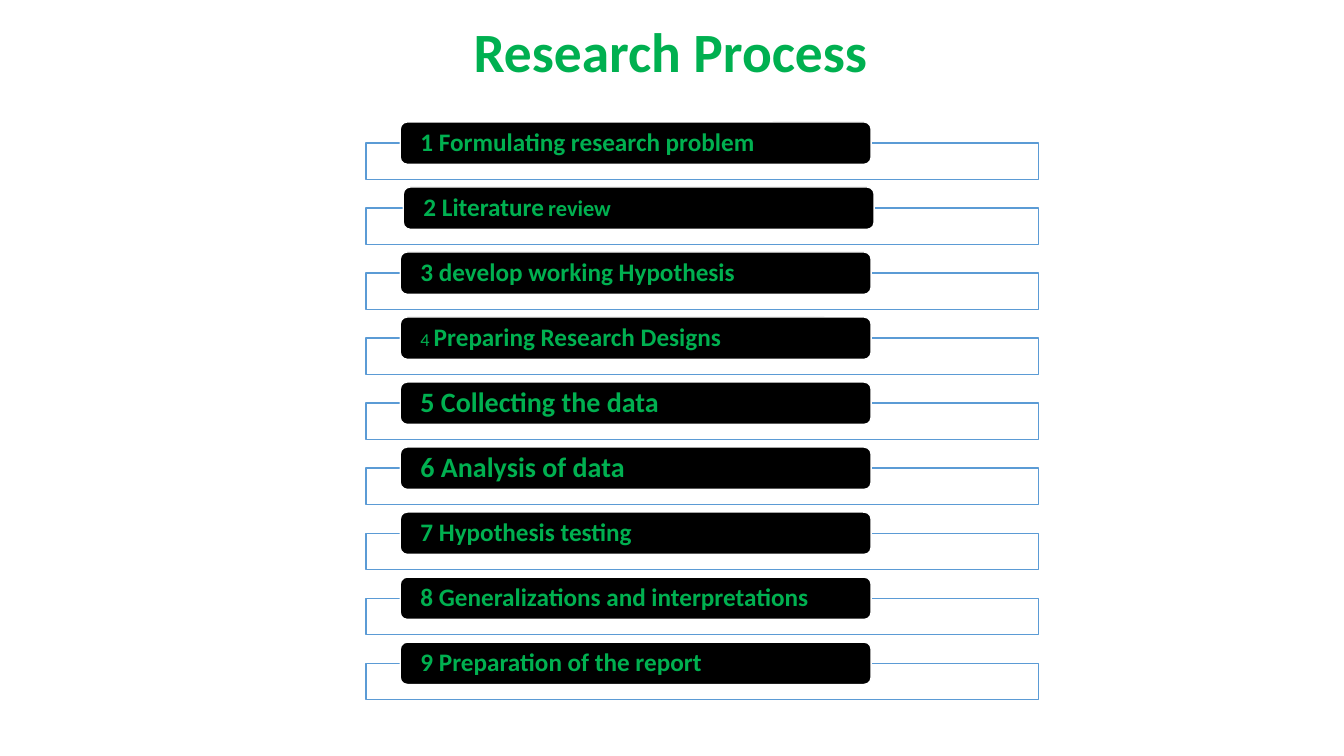
import pptx
import pptx.dml.color
import pptx.enum.shapes
import pptx.enum.text
import pptx.util

Inches = pptx.util.Inches
Pt = pptx.util.Pt
RGBColor = pptx.dml.color.RGBColor
MSO_SHAPE = pptx.enum.shapes.MSO_SHAPE
PP_ALIGN = pptx.enum.text.PP_ALIGN

GREEN = RGBColor(0x00, 0xB0, 0x50)
BLACK = RGBColor(0x00, 0x00, 0x00)
WHITE = RGBColor(0xFF, 0xFF, 0xFF)
BLUE = RGBColor(0x5B, 0x9B, 0xD5)

FIRST_FRAME_TOP = 1.42
LAST_FRAME_TOP = 6.58
LABEL_RISE = 0.21
LABEL_LEFT = 3.97

# Each step is a list of (text, size, bold) runs.
STEPS = [
    [("1 Formulating research problem", 18, True)],
    [("2 Literature", 18, True), (" ", 13, False), ("review", 16, True)],
    [("3 develop working Hypothesis", 18, True)],
    [("4 ", 13, False), ("Preparing Research Designs", 18, True)],
    [("5 Collecting the data", 20, True)],
    [("6 Analysis of data", 20, True)],
    [("7 Hypothesis testing", 18, True)],
    [("8 Generalizations and interpretations", 18, True)],
    [("9 Preparation of the report", 18, True)],
]
LABEL_SHIFTS = {1: 0.03}


def write_line(text_frame, runs, alignment, side_margin):
    frame_format = {
        "word_wrap": True,
        "vertical_anchor": pptx.enum.text.MSO_ANCHOR.MIDDLE,
        "margin_left": Inches(side_margin),
        "margin_right": Inches(side_margin),
        "margin_top": 0,
        "margin_bottom": 0,
    }
    for name, value in frame_format.items():
        setattr(text_frame, name, value)
    line = text_frame.paragraphs[0]
    line.alignment = alignment
    line.line_spacing = 0.9
    for text, size, bold in runs:
        run = line.add_run()
        run.text = text
        run.font.color.rgb = GREEN
        font_format = {"name": "Calibri", "size": Pt(size), "bold": bold}
        for name, value in font_format.items():
            setattr(run.font, name, value)


def add_title(slide, text):
    title = slide.shapes.add_textbox(
        Inches(2.15), Inches(0.24), Inches(9), Inches(0.6))
    write_line(title.text_frame, [(text, 39.6, True)], PP_ALIGN.CENTER, 0.1)


def add_box(slide, preset, left, top, width, height, fill, outline):
    box = slide.shapes.add_shape(
        preset, Inches(left), Inches(top), Inches(width), Inches(height))
    box.shadow.inherit = False
    box.fill.solid()
    box.fill.fore_color.rgb = fill
    box.line.color.rgb = outline
    box.line.width = Pt(1)
    return box


def add_step(slide, top, runs, label_shift):
    """Draw an outlined frame with a black label over its upper edge."""
    add_box(slide, MSO_SHAPE.RECTANGLE, 3.63, top, 6.67, 0.36, WHITE, BLUE)
    label = add_box(slide, MSO_SHAPE.ROUNDED_RECTANGLE,
                    LABEL_LEFT + label_shift, top - LABEL_RISE, 4.67, 0.42,
                    BLACK, WHITE)
    write_line(label.text_frame, runs, PP_ALIGN.LEFT, 0.18)


def main():
    presentation = pptx.Presentation()
    presentation.slide_width = Inches(13.33)
    presentation.slide_height = Inches(7.5)
    slide = presentation.slides.add_slide(presentation.slide_layouts[6])

    add_title(slide, "Research Process")
    pitch = (LAST_FRAME_TOP - FIRST_FRAME_TOP) / (len(STEPS) - 1)
    for index, runs in enumerate(STEPS):
        add_step(slide, FIRST_FRAME_TOP + index * pitch, runs,
                 LABEL_SHIFTS.get(index, 0))

    presentation.save("out.pptx")


if __name__ == "__main__":
    main()
